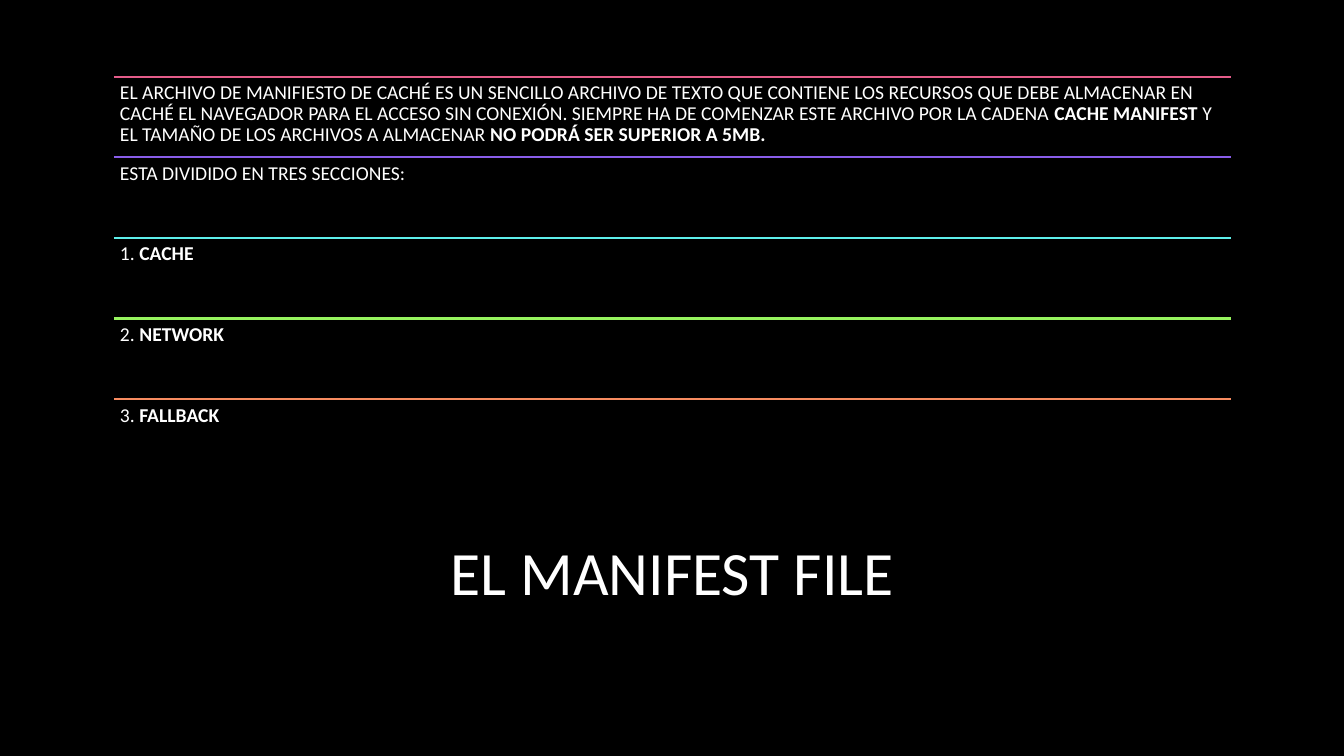
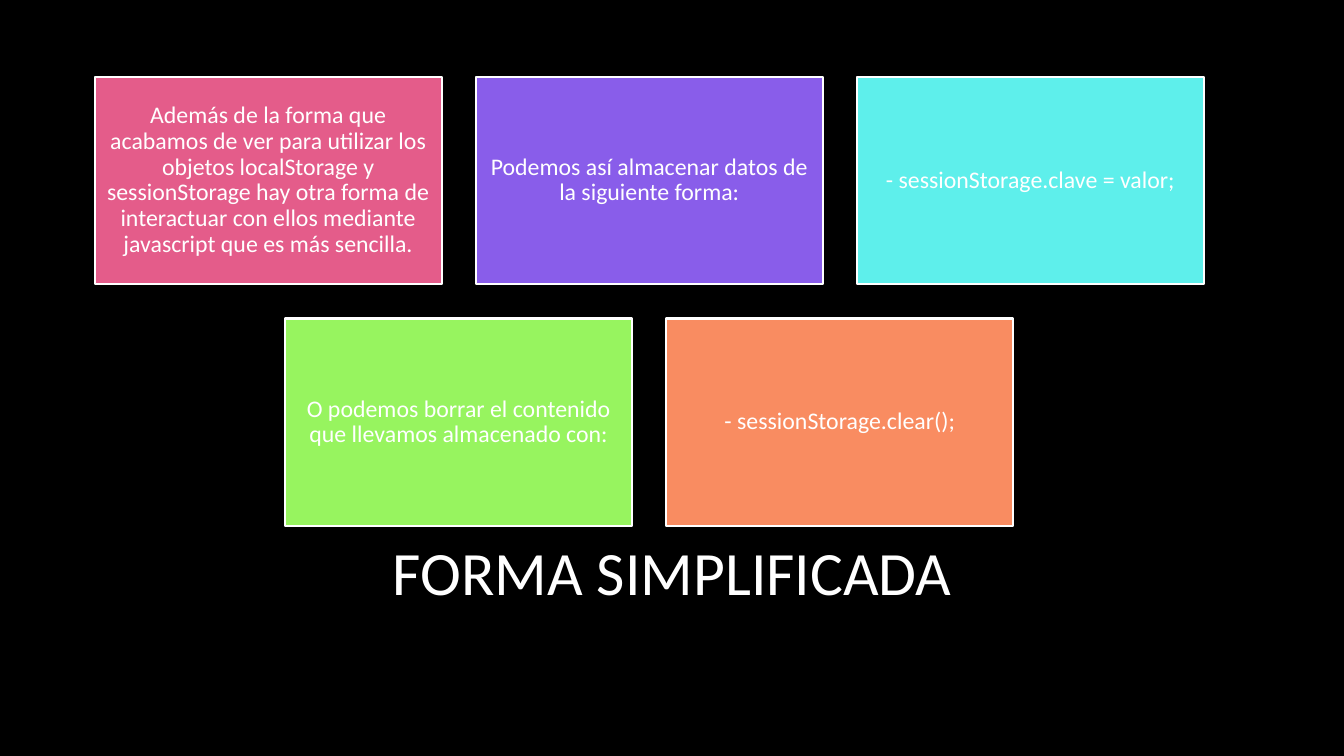
from lxml import etree
from pptx import Presentation
from pptx.dml.color import RGBColor
from pptx.enum.shapes import MSO_CONNECTOR as Connector, MSO_SHAPE as Shape
from pptx.enum.text import MSO_ANCHOR as Anchor, PP_ALIGN as Align
from pptx.oxml.ns import qn
from pptx.util import Inches, Pt

FONT = "Calibri"
WHITE = "FFFFFF"
BLACK = "000000"
ACCENTS = ["E45C8A", "895DEA", "5EEFEB", "97F45F", "F98C61"]
LEFT, TOP, WIDTH = 1.13, 0.76, 11.08


def color(value):
    return RGBColor.from_string(value)


def write(box, spans, size, align, anchor, inset, spacing=0.9):
    frame = box.text_frame
    frame.word_wrap = True
    frame.vertical_anchor = anchor
    frame.margin_left = frame.margin_right = Inches(inset)
    frame.margin_top = frame.margin_bottom = Inches(inset)
    para = frame.paragraphs[0]
    para.alignment = align
    para.line_spacing = spacing
    para.font.name = FONT
    para.font.size = Pt(size)
    para.font.color.rgb = color(WHITE)
    for text, bold in spans:
        span = para.add_run()
        span.text = text
        if bold:
            span.font.bold = True


deck = Presentation()
deck.slide_width, deck.slide_height = Inches(13.33), Inches(7.5)

pages = []
for title in ["EL MANIFEST FILE", "FORMA SIMPLIFICADA"]:
    page = deck.slides.add_slide(deck.slide_layouts[6])
    page.background.fill.solid()
    page.background.fill.fore_color.rgb = color(BLACK)
    box = page.shapes.add_textbox(Inches(LEFT), Inches(5), Inches(WIDTH), Inches(1.33))
    write(box, [(title, False)], 44, Align.CENTER, Anchor.MIDDLE, 0.1, 1.0)
    pages.append(page)
manifest_page, storage_page = pages

sections = [
    [
        ("EL ARCHIVO DE MANIFIESTO DE CACHÉ ES UN SENCILLO ARCHIVO DE TEXTO QUE "
         "CONTIENE LOS RECURSOS QUE DEBE ALMACENAR EN CACHÉ EL NAVEGADOR PARA EL "
         "ACCESO SIN CONEXIÓN. SIEMPRE HA DE COMENZAR ESTE ARCHIVO POR LA CADENA ", False),
        ("CACHE MANIFEST ", True),
        ("Y EL TAMAÑO DE LOS ARCHIVOS A ALMACENAR ", False),
        ("NO PODRÁ SER SUPERIOR A 5MB.", True),
    ],
    [("ESTA DIVIDIDO EN TRES SECCIONES:", False)],
    [("1. ", False), ("CACHE", True)],
    [("2. ", False), ("NETWORK", True)],
    [("3. ", False), ("FALLBACK", True)],
]
ROW_HEIGHT = 0.8
for row, (spans, accent) in enumerate(zip(sections, ACCENTS)):
    top = Inches(TOP + row * ROW_HEIGHT)
    rule = manifest_page.shapes.add_connector(
        Connector.STRAIGHT, Inches(LEFT), top, Inches(LEFT + WIDTH), top)
    rule.line.color.rgb = color(accent)
    rule.line.width = Pt(1.5)
    etree.SubElement(rule.element.spPr, qn("a:effectLst"))
    box = manifest_page.shapes.add_textbox(
        Inches(LEFT), top, Inches(WIDTH), Inches(ROW_HEIGHT))
    write(box, spans, 14, Align.LEFT, Anchor.TOP, 0.06)

cards = [
    "Además de la forma que acabamos de ver para utilizar los objetos localStorage y "
    "sessionStorage hay otra forma de interactuar con ellos mediante javascript que es "
    "más sencilla.",
    "Podemos así almacenar datos de la siguiente forma:",
    "- sessionStorage.clave = valor;",
    "O podemos borrar el contenido que llevamos almacenado con:",
    "- sessionStorage.clear();",
]
CARD_LEFT, CARD_WIDTH, CARD_HEIGHT, GAP = 0.94, 3.44, 2.06, 0.34
COLUMNS = 3
for index, (text, accent) in enumerate(zip(cards, ACCENTS)):
    row, column = divmod(index, COLUMNS)
    left = CARD_LEFT + (column + row / 2) * (CARD_WIDTH + GAP)
    top = TOP + row * (CARD_HEIGHT + GAP)
    card = storage_page.shapes.add_shape(
        Shape.RECTANGLE, Inches(left), Inches(top), Inches(CARD_WIDTH), Inches(CARD_HEIGHT))
    card.shadow.inherit = False
    card.fill.solid()
    card.fill.fore_color.rgb = color(accent)
    card.line.color.rgb = color(WHITE)
    card.line.width = Pt(1.5)
    write(card, [(text, False)], 17, Align.CENTER, Anchor.MIDDLE, 0.07)

deck.save("out.pptx")
